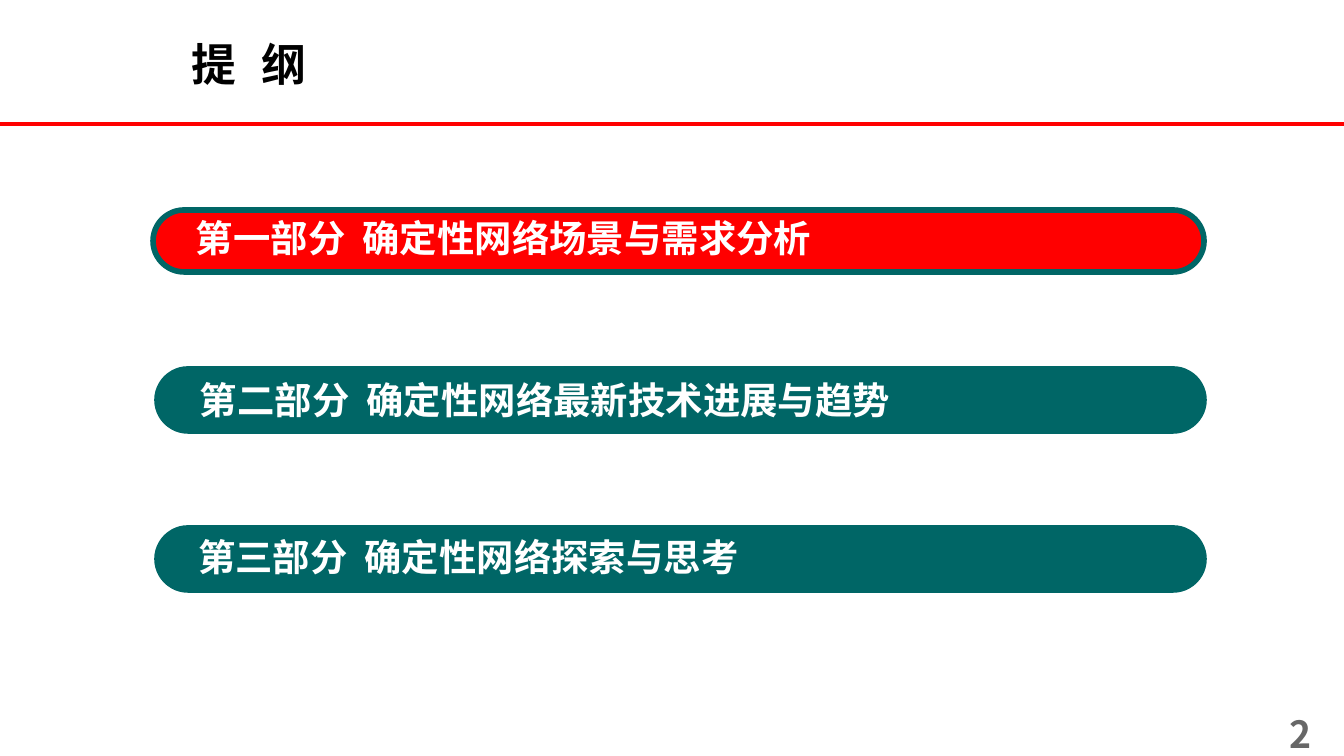
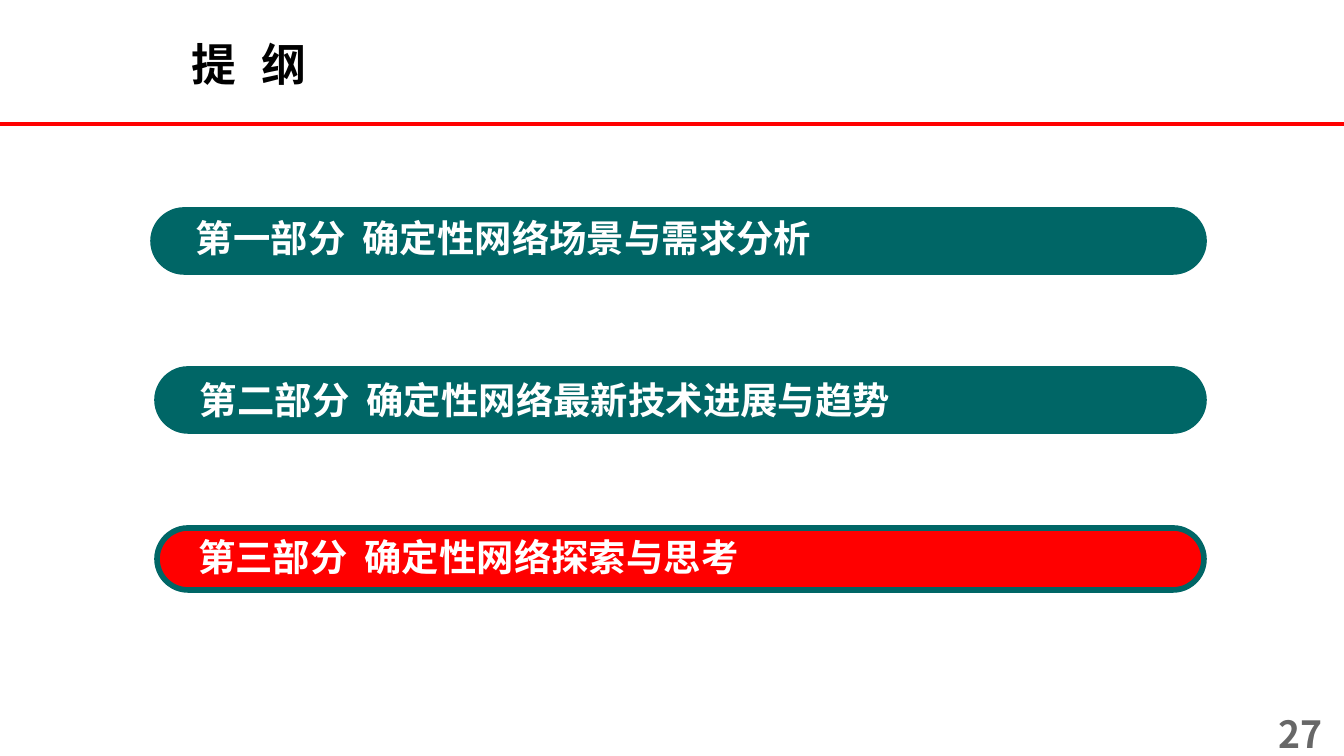
"""Build the two outline slides, each highlighting its current part."""
from pptx import Presentation
from pptx import util as u
from pptx.dml.color import RGBColor
from pptx.enum import shapes, text
from pptx.oxml.ns import qn
from lxml import etree

TITLE = "提  纲"
PARTS = [
    {"label": "第一部分  确定性网络场景与需求分析", "left": 153, "text_box": (175, 208, 962)},
    {"label": "第二部分  确定性网络最新技术进展与趋势", "left": 157, "text_box": (179, 370, 895)},
    {"label": "第三部分  确定性网络探索与思考", "left": 157, "text_box": (177, 527, 927)},
]
SLIDES = [{"current": 0, "number": "2"}, {"current": 2, "number": "27"}]

RED, TEAL, WHITE, BLACK, GREY = "FF0000", "006666", "FFFFFF", "000000", "676767"
TITLE_FONT, BODY_FONT = "Arial", "Noto Sans CJK SC"
WIDTH, HEIGHT = 1344, 756
RULE_TOP = 124
BAR_TOP, BAR_PITCH, BAR_RIGHT, BAR_HEIGHT = 210, 159, 1204, 62
INSET_X, INSET_Y, LABEL_INDENT = 13, 7, 8


def px(length):
    return u.Emu(round(length * 914400 / 134.4))


def color(value):
    return RGBColor.from_string(value)


def add_text(slide, content, box, size=20, font=BODY_FONT, fill=WHITE,
             align=text.PP_ALIGN.LEFT, anchor=text.MSO_ANCHOR.TOP,
             indent=0, grow=False, line_spacing=None):
    shape = slide.shapes.add_textbox(*map(px, box))
    frame = shape.text_frame
    frame.word_wrap = True
    frame.auto_size = text.MSO_AUTO_SIZE.SHAPE_TO_FIT_TEXT if grow else text.MSO_AUTO_SIZE.NONE
    frame.vertical_anchor = anchor
    frame.margin_left, frame.margin_right = px(INSET_X + indent), px(INSET_X)
    frame.margin_top = frame.margin_bottom = px(INSET_Y)
    paragraph = frame.paragraphs[0]
    paragraph.alignment = align
    paragraph.line_spacing = line_spacing
    run = paragraph.add_run()
    run.text = content
    run.font.name, run.font.size, run.font.bold = font, u.Pt(size), True
    run.font.color.rgb = color(fill)
    east_asian = etree.SubElement(run.font._element, qn("a:ea"))
    east_asian.set("typeface", font)


def add_rule(slide):
    rule = slide.shapes.add_connector(
        shapes.MSO_CONNECTOR.STRAIGHT, 0, px(RULE_TOP), px(WIDTH), px(RULE_TOP))
    rule.line.color.rgb = color(RED)
    rule.line.width = u.Pt(2)
    etree.SubElement(rule._element.spPr, qn("a:effectLst"))


def add_part(slide, index, part, is_current):
    left = part["left"]
    box = (left, BAR_TOP + index * BAR_PITCH, BAR_RIGHT - left, BAR_HEIGHT)
    bar = slide.shapes.add_shape(shapes.MSO_SHAPE.ROUNDED_RECTANGLE, *map(px, box))
    bar.adjustments[0] = 0.5
    bar.shadow.inherit = False
    bar.fill.solid()
    bar.fill.fore_color.rgb = color(RED if is_current else TEAL)
    bar.line.color.rgb = color(TEAL)
    bar.line.width = u.Pt(3)
    add_text(slide, part["label"], (*part["text_box"], 59), indent=LABEL_INDENT, grow=True)


def add_outline(presentation, current, number):
    slide = presentation.slides.add_slide(presentation.slide_layouts[6])
    add_rule(slide)
    add_text(slide, TITLE, (179, 28, 730, 71), size=24, font=TITLE_FONT, fill=BLACK,
             anchor=text.MSO_ANCHOR.MIDDLE)
    for index, part in enumerate(PARTS):
        add_part(slide, index, part, index == current)
    add_text(slide, number, (1243, 708, 106, 51), fill=GREY, indent=9,
             align=text.PP_ALIGN.CENTER, line_spacing=0.95)


def main():
    presentation = Presentation()
    presentation.slide_width, presentation.slide_height = px(WIDTH), px(HEIGHT)
    for outline in SLIDES:
        add_outline(presentation, **outline)
    presentation.save("out.pptx")


if __name__ == "__main__":
    main()
